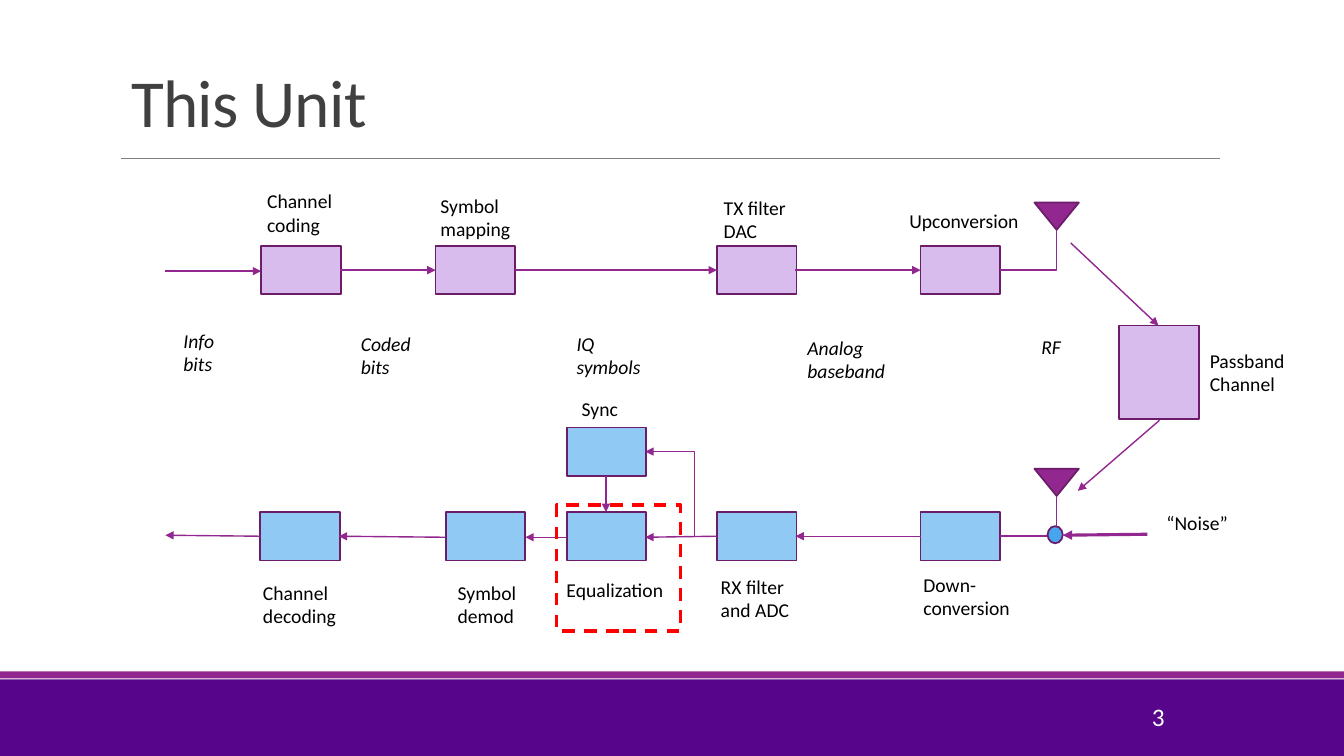
from lxml import etree
from pptx import Presentation
from pptx.dml.color import RGBColor
from pptx.enum.dml import MSO_LINE
from pptx.enum.shapes import MSO_CONNECTOR, MSO_SHAPE
from pptx.enum.text import MSO_ANCHOR, PP_ALIGN
from pptx.oxml.ns import qn
from pptx.util import Inches, Pt

RECTANGLE, TRIANGLE, OVAL = MSO_SHAPE.RECTANGLE, MSO_SHAPE.ISOSCELES_TRIANGLE, MSO_SHAPE.OVAL
STRAIGHT, ELBOW = MSO_CONNECTOR.STRAIGHT, MSO_CONNECTOR.ELBOW
DASH = MSO_LINE.DASH
LEFT, RIGHT = PP_ALIGN.LEFT, PP_ALIGN.RIGHT
TOP, MIDDLE, BOTTOM = MSO_ANCHOR.TOP, MSO_ANCHOR.MIDDLE, MSO_ANCHOR.BOTTOM

FONT = "Calibri"
BLACK = RGBColor(0x00, 0x00, 0x00)
WHITE = RGBColor(0xFF, 0xFF, 0xFF)
TITLE_GRAY = RGBColor(0x40, 0x40, 0x40)
RULE_GRAY = RGBColor(0x80, 0x80, 0x80)
VIOLET = RGBColor(0x57, 0x06, 0x8C)
PURPLE = RGBColor(0x92, 0x27, 0x8F)
DARK_PURPLE = RGBColor(0x6C, 0x1D, 0x6A)
LILAC = RGBColor(0xD7, 0xBC, 0xED)
LIGHT_BLUE = RGBColor(0x8F, 0xC9, 0xF4)
BLUE = RGBColor(0x45, 0xA5, 0xED)
RED = RGBColor(0xFF, 0x00, 0x00)

BLOCK_WIDTH, BLOCK_HEIGHT = 0.79, 0.48
TX_TOP, RX_TOP, SYNC_TOP = 2.44, 5.08, 4.24
TX_BLOCKS = [2.59, 4.32, 7.11, 9.13]
RX_BLOCKS = [2.58, 4.42, 5.62, 7.11, 9.13]
ANTENNA_X = 10.48
ONE_LINE, TWO_LINES = 0.34, 0.57

BLOCK_LABELS = [  # text, left, top, width, height
    ("Channel coding", 2.55, 1.83, 1.05, TWO_LINES),
    ("Symbol\vmapping", 4.27, 1.87, 0.9, TWO_LINES),
    ("TX filter DAC", 7.08, 1.89, 1.03, TWO_LINES),
    ("Upconversion", 8.92, 2.02, 1.29, ONE_LINE),
    ("Passband\nChannel", 11.9, 3.41, 1.29, TWO_LINES),
    ("“Noise”", 11.47, 5.02, 1.29, ONE_LINE),
    ("Down-conversion", 9.06, 5.63, 1.29, TWO_LINES),
    ("RX filter\vand ADC", 7.05, 5.65, 1.29, TWO_LINES),
    ("Sync", 5.67, 3.89, 1.29, ONE_LINE),
    ("Equalization", 5.52, 5.68, 1.29, ONE_LINE),
    ("Symbol\vdemod", 4.44, 5.71, 0.95, TWO_LINES),
    ("Channel\vdecoding", 2.51, 5.71, 0.95, TWO_LINES),
]
SIGNAL_LABELS = [
    ("Info bits", 1.72, 3.21, 0.78, TWO_LINES),
    ("Coded bits", 3.48, 3.24, 0.78, TWO_LINES),
    ("IQ symbols", 5.62, 3.24, 0.95, TWO_LINES),
    ("Analog baseband", 7.91, 3.28, 1.04, TWO_LINES),
    ("RF", 10.23, 3.27, 0.57, ONE_LINE),
]
ARROWS = [  # from x, y, to x, y
    (1.64, 2.69, 2.59, 2.69),
    (3.37, 2.68, 4.32, 2.68),
    (5.11, 2.68, 7.11, 2.68),
    (7.89, 2.68, 9.13, 2.68),
    (10.62, 2.41, 11.49, 3.23),
    (11.5, 4.17, 10.69, 4.87),
    (9.13, 5.32, 7.89, 5.32),
    (7.11, 5.32, 6.4, 5.33),
    (5.62, 5.33, 5.21, 5.33),
    (4.42, 5.33, 3.36, 5.32),
    (2.58, 5.32, 1.64, 5.31),
    (6.01, 4.72, 6.01, 5.08),
]


def style_text(frame, size, color, italic=False, align=LEFT, anchor=TOP):
    frame.word_wrap = True
    frame.vertical_anchor = anchor
    for para in frame.paragraphs:
        para.alignment = align
        for span in para.runs:
            span.font.name = FONT
            span.font.size = Pt(size)
            span.font.italic = italic
            span.font.color.rgb = color


def add_text(slide, text, left, top, width, height, size=14, color=BLACK, **style):
    box = slide.shapes.add_textbox(Inches(left), Inches(top), Inches(width), Inches(height))
    box.text_frame.text = text
    style_text(box.text_frame, size, color, **style)


def add_box(slide, kind, left, top, width, height, fill=None, line=None, weight=1.25):
    """Add a preset shape; without a fill or line colour that part stays clear."""
    shape = slide.shapes.add_shape(kind, Inches(left), Inches(top), Inches(width), Inches(height))
    shape.shadow.inherit = False
    for part, color in ((shape.fill, fill), (shape.line.fill, line)):
        if color is None:
            part.background()
        else:
            part.solid()
            part.fore_color.rgb = color
    if line is not None:
        shape.line.width = Pt(weight)
    return shape


def add_block(slide, left, top, fill, height=BLOCK_HEIGHT):
    add_box(slide, RECTANGLE, left, top, BLOCK_WIDTH, height, fill, DARK_PURPLE)


def add_line(slide, start_x, start_y, end_x, end_y, arrow=None, kind=STRAIGHT,
             color=PURPLE, weight=1):
    """Add a connector; arrow is None, "headEnd" (at start) or "tailEnd" (at end)."""
    line = slide.shapes.add_connector(
        kind, Inches(start_x), Inches(start_y), Inches(end_x), Inches(end_y))
    line.line.color.rgb = color
    line.line.width = Pt(weight)
    properties = line._element.spPr
    if kind == ELBOW:  # one corner: horizontal first, then vertical
        properties.find(qn("a:prstGeom")).set("prst", "bentConnector2")
    if arrow:
        etree.SubElement(properties.find(qn("a:ln")), qn(f"a:{arrow}"), type="triangle")
    etree.SubElement(properties, qn("a:effectLst"))


def add_frame(slide):
    """Add the title, its rule, the footer bands and the page number."""
    add_box(slide, RECTANGLE, 0, 6.74, 13.33, 0.76, VIOLET)
    add_box(slide, RECTANGLE, 0, 6.66, 13.33, 0.07, PURPLE)
    add_line(slide, 1.2, 1.57, 12.1, 1.57, color=RULE_GRAY, weight=0.5)
    title = slide.shapes.title
    title.left, title.top, title.width, title.height = map(Inches, (1.2, 0.31, 11, 1.14))
    title.text_frame.text = "This Unit"
    style_text(title.text_frame, 48, TITLE_GRAY, anchor=BOTTOM)
    para = title.text_frame.paragraphs[0]
    para.line_spacing = 0.85
    para.runs[0].font._element.set("spc", "-50")
    add_text(slide, "3", 10.22, 6.91, 1.43, 0.4, 18, WHITE, align=RIGHT, anchor=MIDDLE)


def add_antenna(slide, block_top):
    """Add an antenna and the feed from the last block of its row."""
    tip = block_top - 0.16
    antenna = add_box(slide, TRIANGLE, ANTENNA_X - 0.22, tip - 0.27, 0.44, 0.27,
                      PURPLE, DARK_PURPLE)
    antenna.rotation = 180
    add_line(slide, 9.92, block_top + BLOCK_HEIGHT / 2, ANTENNA_X, tip, kind=ELBOW)


def main():
    deck = Presentation()
    deck.slide_width, deck.slide_height = Inches(13.33), Inches(7.5)
    slide = deck.slides.add_slide(deck.slide_layouts[5])
    add_frame(slide)

    for left in TX_BLOCKS:
        add_block(slide, left, TX_TOP, LILAC)
    add_block(slide, 11.1, 3.23, LILAC, height=0.93)
    for left in RX_BLOCKS:
        add_block(slide, left, RX_TOP, LIGHT_BLUE)
    add_block(slide, 5.62, SYNC_TOP, LIGHT_BLUE)

    for row_top in (TX_TOP, RX_TOP):
        add_antenna(slide, row_top)
    for ends in ARROWS:
        add_line(slide, *ends, arrow="tailEnd")
    add_line(slide, 6.4, 4.48, 6.89, 5.32, arrow="headEnd", kind=ELBOW)

    add_box(slide, OVAL, 10.39, 5.22, 0.15, 0.17, BLUE, DARK_PURPLE)
    add_line(slide, 11.38, 5.3, 10.54, 5.31, arrow="tailEnd", weight=2.25)

    for label in BLOCK_LABELS:
        add_text(slide, *label)
    for label in SIGNAL_LABELS:
        add_text(slide, *label, italic=True)

    highlight = add_box(slide, RECTANGLE, 5.52, 5.01, 1.23, 1.25, line=RED, weight=2.25)
    highlight.line.dash_style = DASH
    deck.save("out.pptx")


if __name__ == "__main__":
    main()
